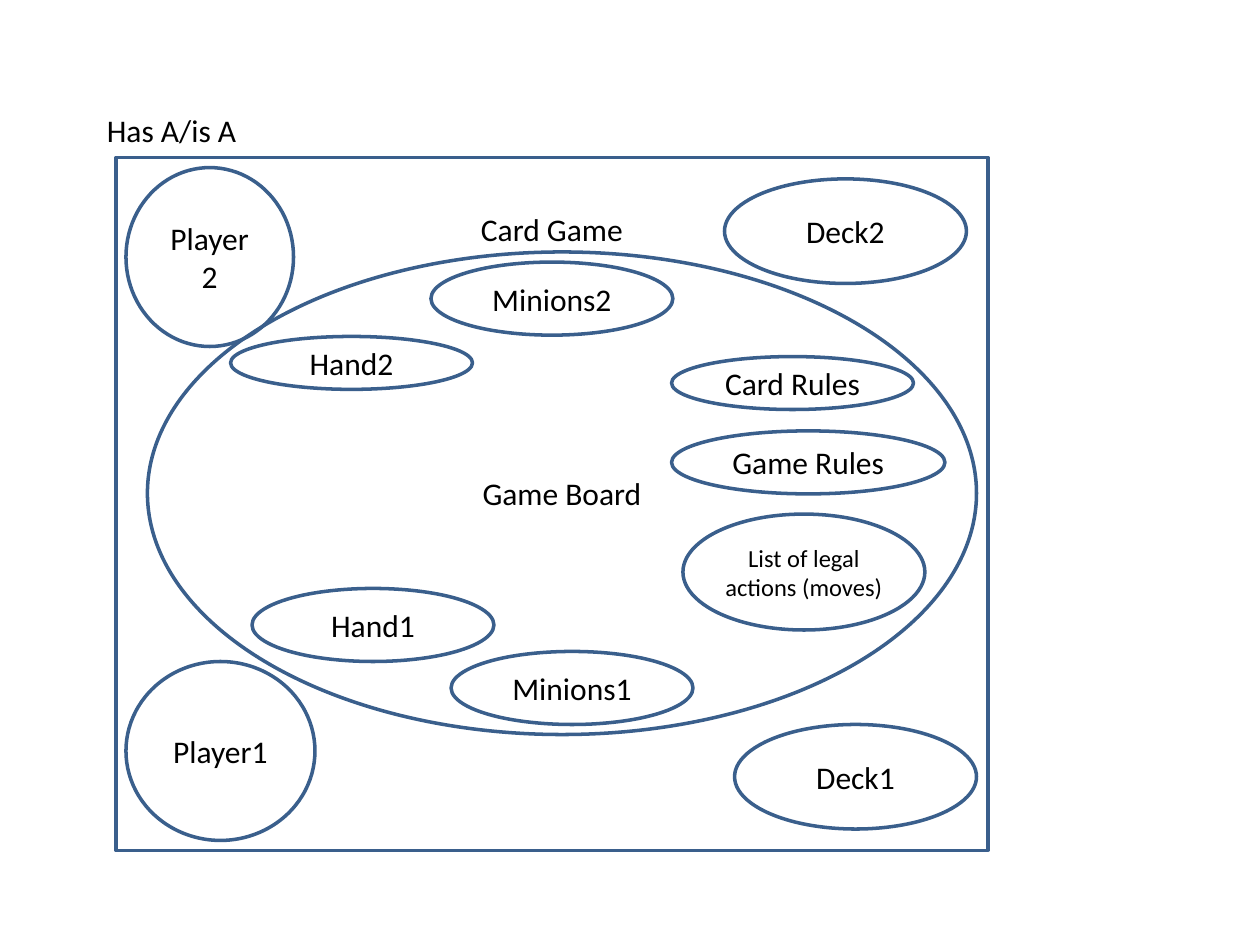
from pptx import Presentation
from pptx.dml.color import RGBColor
from pptx.enum.shapes import MSO_SHAPE as Shape
from pptx.enum.text import MSO_ANCHOR as Anchor, PP_ALIGN as Align
from pptx.util import Inches, Pt

COLOURS = {"line": "3A5F8C", "text": "000000"}
TEXT_SIZE = 18
SMALL_SIZE = 14

# Text, left, top, width, height from the corner of the game area, text size
ZONES = [
    ("Game Board", 0.25, 0.75, 6.58, 3.83, TEXT_SIZE),
    ("Player2", 0.08, 0.08, 1.33, 1.42, TEXT_SIZE),
    ("Player1", 0.08, 4, 1.5, 1.42, TEXT_SIZE),
    ("Hand2", 0.91, 1.42, 1.92, 0.42, TEXT_SIZE),
    ("Hand1", 1.08, 3.42, 1.92, 0.58, TEXT_SIZE),
    ("Game Rules", 4.41, 2.17, 2.17, 0.5, TEXT_SIZE),
    ("Deck2", 4.83, 0.17, 1.92, 0.83, TEXT_SIZE),
    ("Deck1", 4.91, 4.5, 1.92, 0.83, TEXT_SIZE),
    ("Card Rules", 4.41, 1.58, 1.92, 0.42, TEXT_SIZE),
    ("Minions1", 2.66, 3.92, 1.92, 0.58, TEXT_SIZE),
    ("Minions2", 2.5, 0.83, 1.92, 0.58, TEXT_SIZE),
    ("List of legal actions (moves)", 4.5, 2.83, 1.92, 0.92, SMALL_SIZE),
]


def write(shape, text, align, size=TEXT_SIZE):
    frame = shape.text_frame
    frame.text = text
    para = frame.paragraphs[0]
    para.alignment = align
    font = para.runs[0].font
    font.name = "Calibri"
    font.size = Pt(size)
    font.color.rgb = RGBColor.from_string(COLOURS["text"])


def add_outline(page, kind, text, left, top, width, height, size=TEXT_SIZE):
    shape = page.shapes.add_shape(
        kind, Inches(left), Inches(top), Inches(width), Inches(height))
    shape.shadow.inherit = False
    shape.fill.background()
    shape.line.color.rgb = RGBColor.from_string(COLOURS["line"])
    shape.line.width = Pt(2)
    frame = shape.text_frame
    frame.word_wrap = True
    frame.vertical_anchor = Anchor.MIDDLE
    if size == SMALL_SIZE:
        # Long text uses the full width inside its oval
        frame.margin_left = frame.margin_right = Inches(0)
    write(shape, text, Align.CENTER, size)
    return shape


def add_heading(page, left, top, width, height):
    box = page.shapes.add_textbox(
        Inches(left), Inches(top), Inches(width), Inches(height))
    box.text_frame.word_wrap = False
    write(box, "Has A/is A", Align.LEFT)


def add_game(page, left, top, width, height):
    # Parts of the game
    for text, x, y, zone_width, zone_height, size in ZONES:
        add_outline(page, Shape.OVAL, text, left + x, top + y,
                    zone_width, zone_height, size)
    # Frame with its title just above the board
    frame = add_outline(page, Shape.RECTANGLE, "Card Game",
                        left, top, width, height)
    frame.text_frame.vertical_anchor = Anchor.TOP
    frame.text_frame.margin_top = Inches(0.42)


deck = Presentation()
deck.slide_width, deck.slide_height = Inches(10), Inches(7.5)
page = deck.slides.add_slide(deck.slide_layouts[6])
add_heading(page, 0.75, 0.83, 1.24, 0.4)
add_game(page, 0.92, 1.25, 6.92, 5.5)
deck.save("out.pptx")
